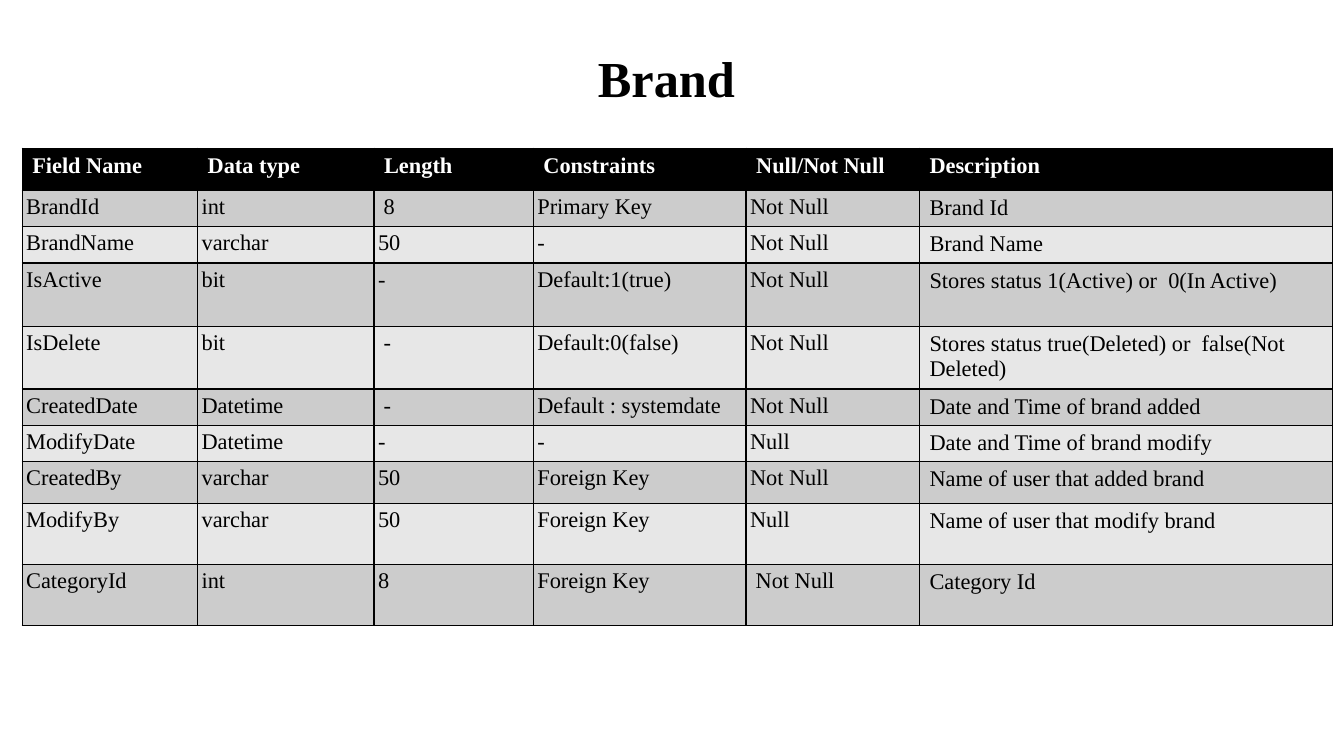
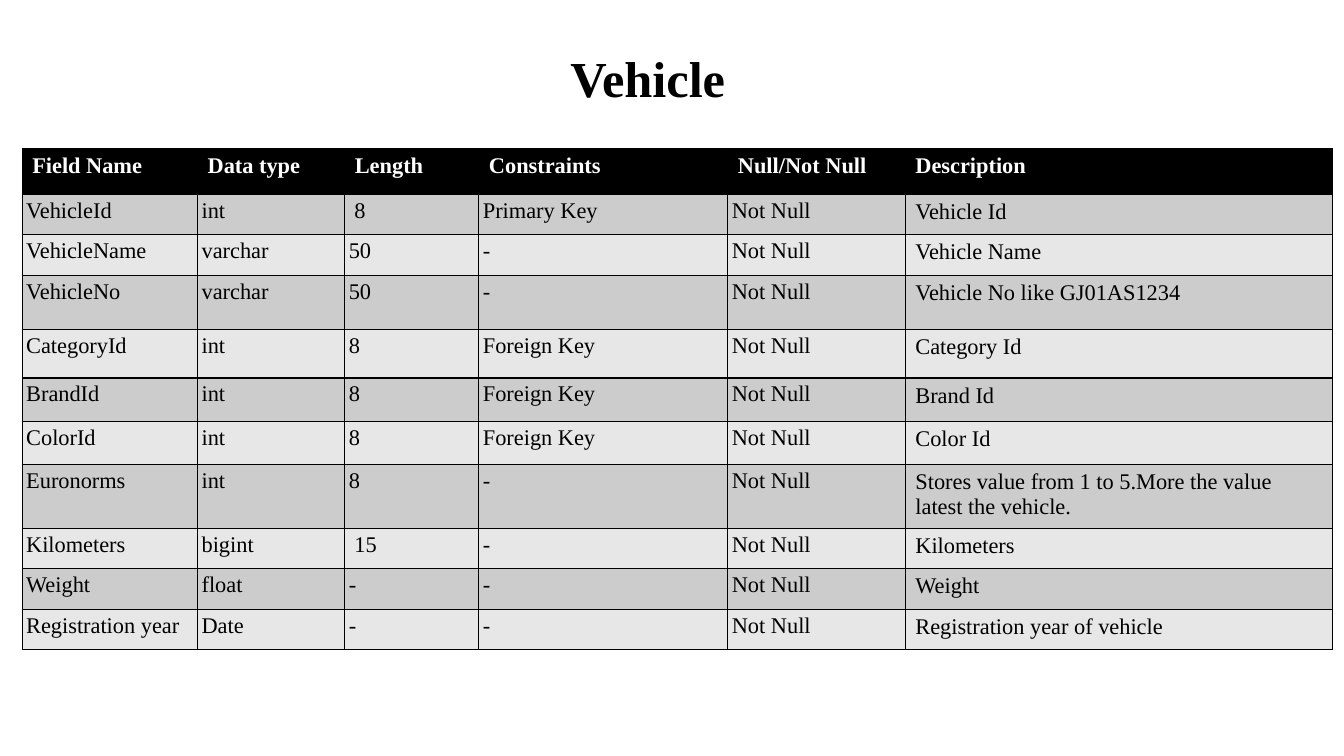
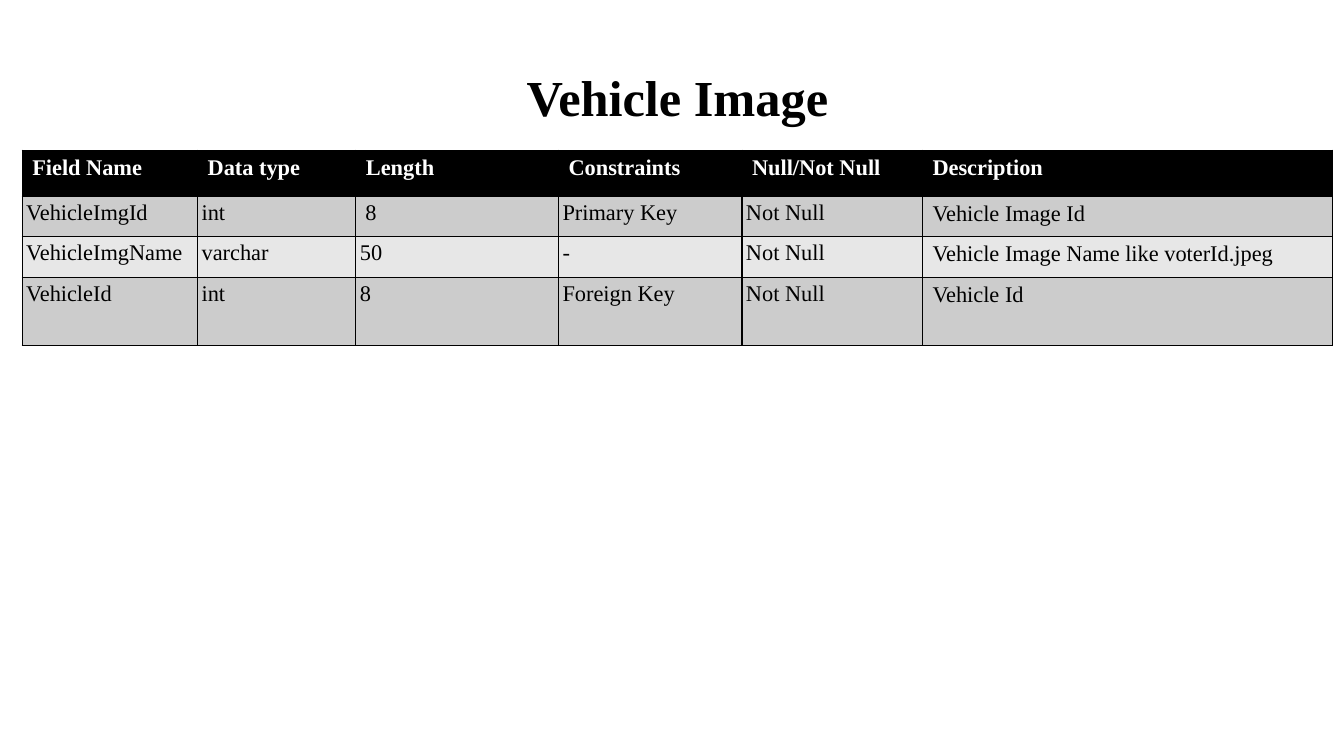
"""Build three data dictionary slides, each with a title and a field table."""
from dataclasses import dataclass
from typing import NamedTuple

from lxml import etree
from pptx import Presentation
from pptx.dml.color import RGBColor
from pptx.enum.text import MSO_AUTO_SIZE, PP_ALIGN
from pptx.oxml.ns import qn
from pptx.util import Inches, Pt

CENTER = PP_ALIGN.CENTER
FIT_SHAPE = MSO_AUTO_SIZE.SHAPE_TO_FIT_TEXT
BLANK_LAYOUT = 6


@dataclass(frozen=True)
class Theme:
    """Colours, font and sizes shared by all slides."""
    font: str = "Times New Roman"
    title_size: float = 36
    cell_size: float = 16
    ink: str = "000000"
    header_text: str = "FFFFFF"
    header_fill: str = "000000"
    row_fills: tuple[str, str] = ("CCCCCC", "E7E7E7")
    border_width: float = 1
    cell_margin: float = 0.04
    table_left: float = 0.22
    table_width: float = 13
    title_height: float = 0.71


class Field(NamedTuple):
    """One row of a field table."""
    name: str
    data_type: str
    length: str
    constraints: str
    nullable: str
    description: str


@dataclass(frozen=True)
class FieldTable:
    """A slide's title, its place, and its table."""
    title: str
    title_left: float
    title_top: float
    title_width: float
    table_top: float
    column_widths: tuple[float, ...]
    row_heights: tuple[float, ...]
    fields: tuple[Field, ...]


THEME = Theme()
HEADER = Field("Field Name", "Data type", "Length", "Constraints", "Null/Not Null", "Description")
DESCRIPTION_COLUMN = len(HEADER) - 1

FIELD_TABLES = (
    FieldTable(
        "Brand", 0, 0.42, 13.22, 1.47,
        (1.74, 1.75, 1.58, 2.11, 1.72, 4.1),
        (0.42, 0.36, 0.36, 0.63, 0.62, 0.36, 0.36, 0.42, 0.6, 0.61),
        (
            Field("BrandId", "int", " 8", "Primary Key", "Not Null", "Brand Id"),
            Field("BrandName", "varchar", "50", "-", "Not Null", "Brand Name"),
            Field("IsActive", "bit", "-", "Default:1(true)", "Not Null",
                  "Stores status 1(Active) or  0(In Active)"),
            Field("IsDelete", "bit", " -", "Default:0(false)", "Not Null",
                  "Stores status true(Deleted) or  false(Not Deleted)"),
            Field("CreatedDate", "Datetime", " -", "Default : systemdate", "Not Null",
                  "Date and Time of brand added"),
            Field("ModifyDate", "Datetime", "-", "-", "Null", "Date and Time of brand modify"),
            Field("CreatedBy", "varchar", "50", "Foreign Key", "Not Null",
                  "Name of user that added brand"),
            Field("ModifyBy", "varchar", "50", "Foreign Key", "Null",
                  "Name of user that modify brand"),
            Field("CategoryId", "int", "8", "Foreign Key", " Not Null", "Category Id"),
        ),
    ),
    FieldTable(
        "Vehicle", 0.22, 0.42, 12.41, 1.47,
        (1.74, 1.46, 1.33, 2.47, 1.76, 4.24),
        (0.46, 0.4, 0.4, 0.54, 0.48, 0.43, 0.43, 0.61, 0.4, 0.4, 0.4),
        (
            Field("VehicleId", "int", " 8", "Primary Key", "Not Null", "Vehicle Id"),
            Field("VehicleName", "varchar", "50", "-", "Not Null", "Vehicle Name"),
            Field("VehicleNo", "varchar", "50", "-", "Not Null", "Vehicle No like GJ01AS1234"),
            Field("CategoryId", "int", "8", "Foreign Key", "Not Null", "Category Id"),
            Field("BrandId", "int", "8", "Foreign Key", "Not Null", "Brand Id"),
            Field("ColorId", "int", "8", "Foreign Key", "Not Null", "Color Id"),
            Field("Euronorms", "int", "8", "-", "Not Null",
                  "Stores value from 1 to 5.More the value latest the vehicle."),
            Field("Kilometers", "bigint", " 15", "-", "Not Null", "Kilometers"),
            Field("Weight", "float", "-", "-", "Not Null", "Weight"),
            Field("Registration year", "Date", "-", "-", "Not Null",
                  "Registration year of vehicle"),
        ),
    ),
    FieldTable(
        "Vehicle Image", 0.22, 0.61, 13, 1.49,
        (1.74, 1.57, 2.01, 1.82, 1.79, 4.07),
        (0.46, 0.4, 0.4, 0.68),
        (
            Field("VehicleImgId", "int", " 8", "Primary Key", "Not Null", "Vehicle Image Id"),
            Field("VehicleImgName", "varchar", "50", "-", "Not Null",
                  "Vehicle Image Name like voterId.jpeg"),
            Field("VehicleId", "int", "8", "Foreign Key", "Not Null", "Vehicle Id"),
        ),
    ),
)


def style_text(text_frame, size: float, color: str, bold: bool) -> None:
    """Apply the theme font to every run."""
    for paragraph in text_frame.paragraphs:
        for span in paragraph.runs:
            span.font.name = THEME.font
            span.font.size = Pt(size)
            span.font.bold = bold
            span.font.color.rgb = RGBColor.from_string(color)


def add_borders(cell) -> None:
    """Draw a solid line on all four sides of a cell."""
    properties = cell._tc.get_or_add_tcPr()
    for side in ("a:lnL", "a:lnR", "a:lnT", "a:lnB"):
        line = etree.SubElement(properties, qn(side), w=str(Pt(THEME.border_width)))
        fill = etree.SubElement(line, qn("a:solidFill"))
        etree.SubElement(fill, qn("a:srgbClr"), val=THEME.ink)


def fill_cell(cell, text: str, row: int, column: int) -> None:
    """Write and format one table cell."""
    is_header = row == 0
    cell.text_frame.text = text
    style_text(cell.text_frame, THEME.cell_size,
               THEME.header_text if is_header else THEME.ink, is_header)
    if not is_header and column != DESCRIPTION_COLUMN:
        margin = Inches(THEME.cell_margin)
        cell.margin_left = cell.margin_right = margin
        cell.margin_top = cell.margin_bottom = margin
    add_borders(cell)
    cell.fill.solid()
    color = THEME.header_fill if is_header else THEME.row_fills[(row - 1) % 2]
    cell.fill.fore_color.rgb = RGBColor.from_string(color)


def add_field_table(page, content: FieldTable) -> None:
    """Add the table of fields to a slide."""
    rows = (HEADER, *content.fields)
    table = page.shapes.add_table(
        len(rows), len(HEADER), Inches(THEME.table_left), Inches(content.table_top),
        Inches(THEME.table_width), Inches(sum(content.row_heights))).table
    for column, width in zip(table.columns, content.column_widths):
        column.width = Inches(width)
    for table_row, height in zip(table.rows, content.row_heights):
        table_row.height = Inches(height)
    for row, field in enumerate(rows):
        for column, text in enumerate(field):
            fill_cell(table.cell(row, column), text, row, column)


def add_title(page, content: FieldTable) -> None:
    """Add the centred slide title."""
    box = page.shapes.add_textbox(
        Inches(content.title_left), Inches(content.title_top),
        Inches(content.title_width), Inches(THEME.title_height))
    text_frame = box.text_frame
    text_frame.word_wrap = True
    text_frame.auto_size = FIT_SHAPE
    text_frame.text = content.title
    text_frame.paragraphs[0].alignment = CENTER
    style_text(text_frame, THEME.title_size, THEME.ink, True)


def main() -> None:
    """Build and save the deck."""
    deck = Presentation()
    deck.slide_width = Inches(13.33)
    deck.slide_height = Inches(7.5)
    for content in FIELD_TABLES:
        page = deck.slides.add_slide(deck.slide_layouts[BLANK_LAYOUT])
        add_field_table(page, content)
        add_title(page, content)
    deck.save("out.pptx")


if __name__ == "__main__":
    main()
